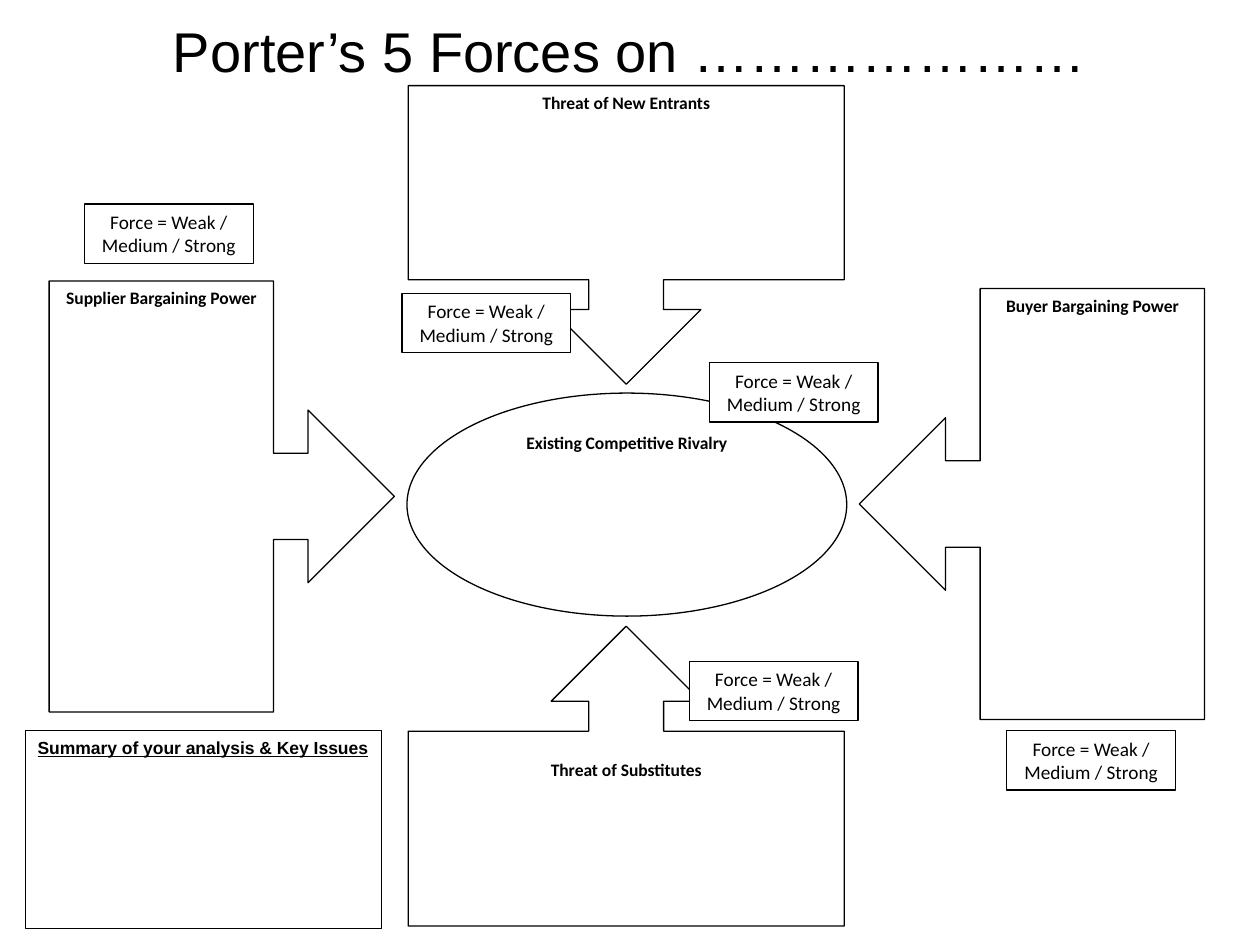
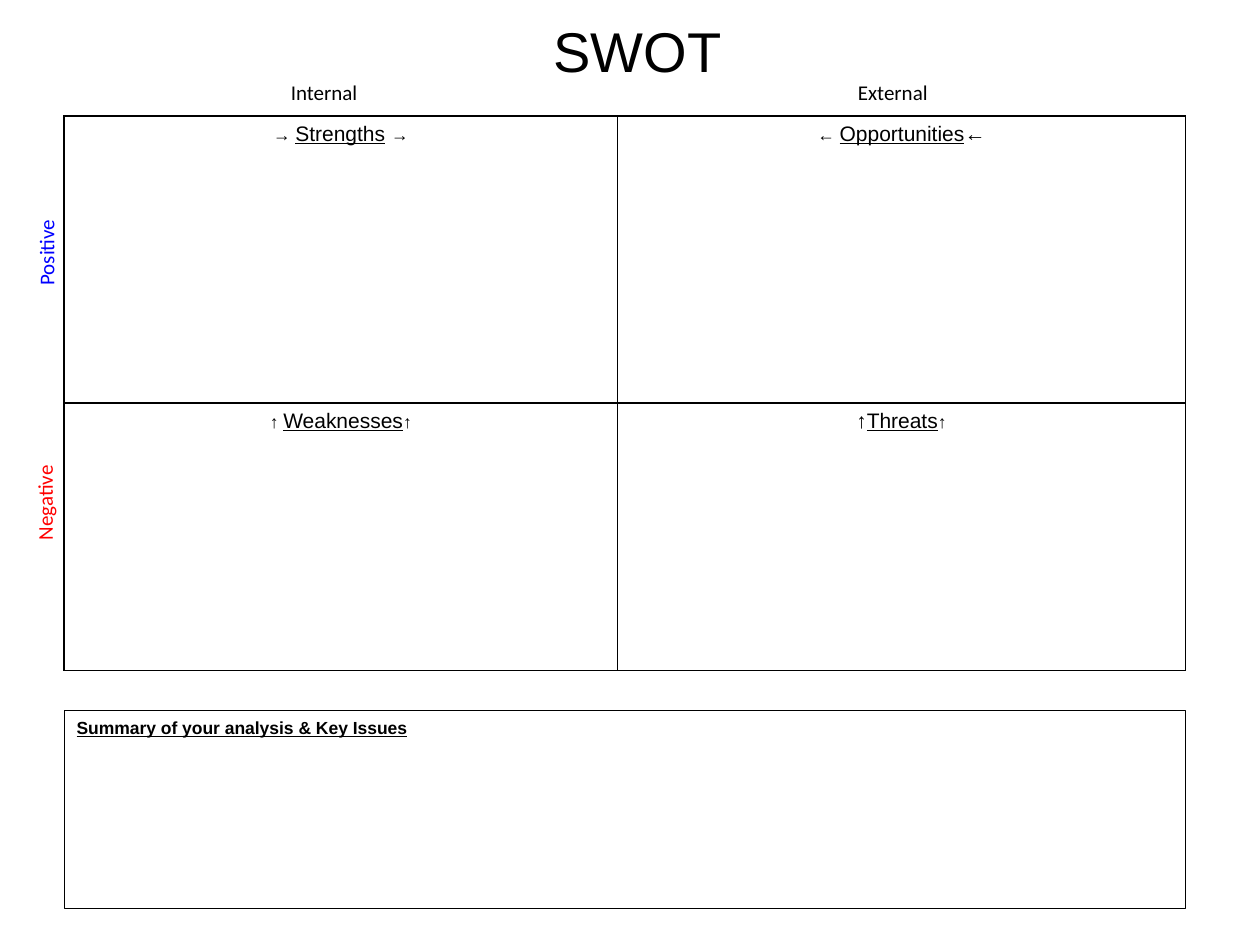
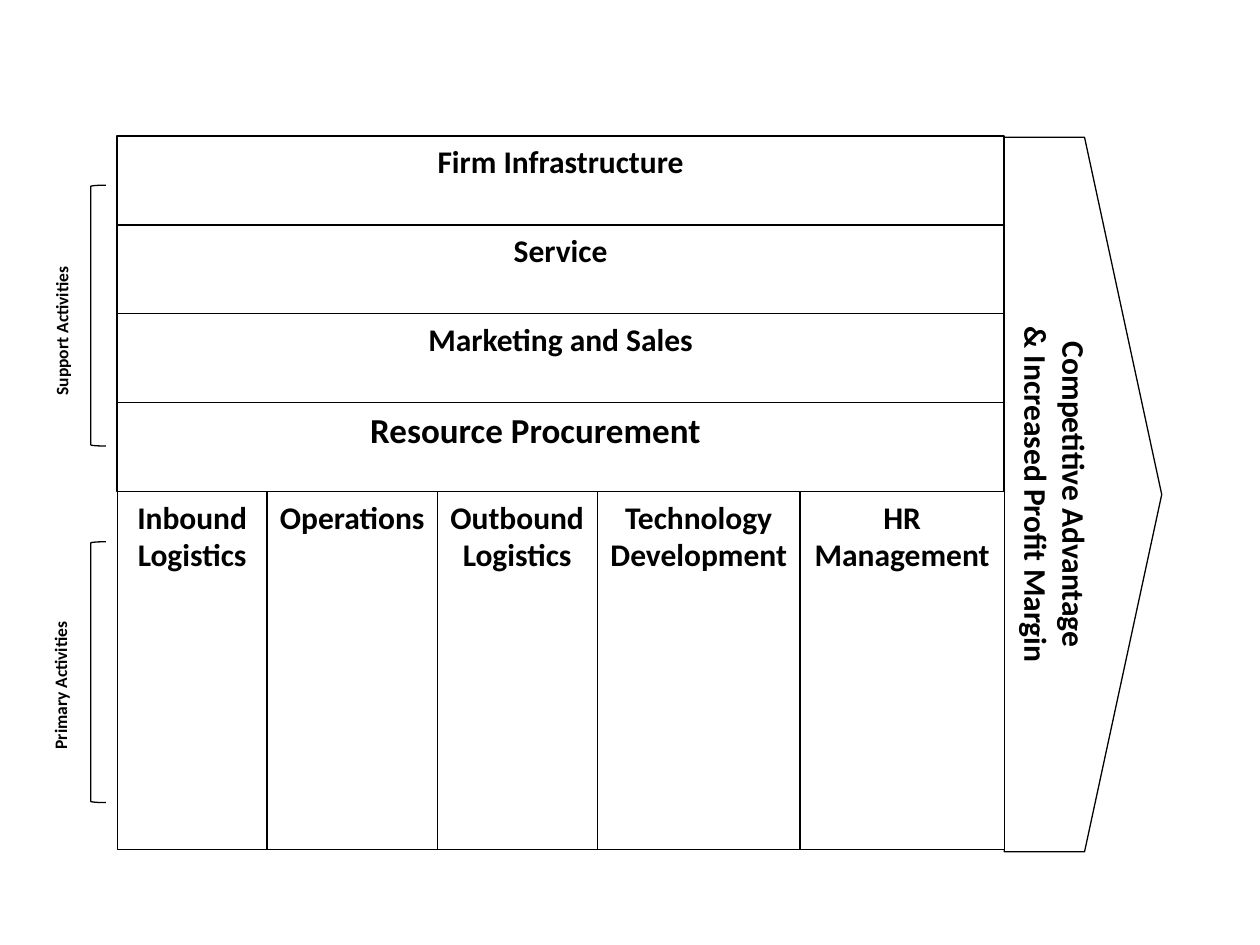
from lxml import etree
from pptx import Presentation
from pptx import util as u
from pptx.dml.color import RGBColor
from pptx.enum import shapes, text
from pptx.oxml import ns

BLACK, WHITE, BLUE, RED = "000000", "FFFFFF", "0000FF", "FF0000"
CENTER, LEFT = text.PP_ALIGN.CENTER, text.PP_ALIGN.LEFT
SHAPE = shapes.MSO_SHAPE
TITLE = {"name": "Arial", "size": u.Pt(32)}
HEADING = {"name": "Calibri", "size": u.Pt(10), "bold": True}
ACTIVITY = {"name": "Calibri", "size": u.Pt(18), "bold": True}
FORCE = {"name": "Calibri", "size": u.Pt(11)}
AXIS = {"name": "Calibri", "size": u.Pt(12)}
SUMMARY = {"name": "Arial", "size": u.Pt(10), "bold": True, "underline": True}
SUMMARY_TEXT = "Summary of your analysis & Key Issues"
TITLE_PLACE = (0, 0.08, 10, 0.64)


def color(value):
    return RGBColor.from_string(value)


def add_box(slide, preset, place, words="", font=None, align=CENTER, ink=BLACK,
            line=True, adjustments=(), rotation=0, margins=None):
    place = [u.Inches(length) for length in place]
    if preset is None:
        shape = slide.shapes.add_textbox(*place)
    else:
        shape = slide.shapes.add_shape(preset, *place)
        shape.shadow.inherit = False
        shape.fill.solid()
        shape.fill.fore_color.rgb = color(WHITE)
        if line:
            shape.line.color.rgb = color(BLACK)
            shape.line.width = u.Pt(0.75)
        else:
            shape.line.fill.background()
        for index, value in enumerate(adjustments):
            shape.adjustments[index] = value
    shape.rotation = rotation
    if words:
        frame = shape.text_frame
        frame.word_wrap = True
        frame.vertical_anchor = text.MSO_ANCHOR.TOP
        for name, value in (margins or {}).items():
            setattr(frame, name, u.Inches(value))
        for index, sentence in enumerate(words.split("\n")):
            paragraph = frame.add_paragraph() if index else frame.paragraphs[0]
            paragraph.alignment = align
            run = paragraph.add_run()
            run.text = sentence
            run.font.color.rgb = color(ink)
            for name, value in font.items():
                setattr(run.font, name, value)
    return shape


presentation = Presentation()
presentation.slide_width = u.Inches(10)
presentation.slide_height = u.Inches(7.5)
blank = presentation.slide_layouts[6]
forces, swot, value_chain = [presentation.slides.add_slide(blank) for _ in range(3)]

add_box(forces, SHAPE.OVAL, (3.23, 3.12, 3.49, 1.77), "Existing Competitive Rivalry", HEADING)
for preset, place, words, margin_top in (
    (SHAPE.UP_ARROW_CALLOUT, (3.24, 4.97, 3.46, 2.38), "Threat of Substitutes", 0.22),
    (SHAPE.DOWN_ARROW_CALLOUT, (3.24, 0.68, 3.46, 2.37), "Threat of New Entrants", 0.05),
    (SHAPE.LEFT_ARROW_CALLOUT, (6.82, 2.29, 2.74, 3.42), "Buyer Bargaining Power", 0.05),
    (SHAPE.RIGHT_ARROW_CALLOUT, (0.39, 2.23, 2.74, 3.42), "Supplier Bargaining Power", 0.05),
):
    add_box(forces, preset, place, words, HEADING,
            adjustments=(0.25, 0.25, 0.25, 0.65), margins={"margin_top": margin_top})
add_box(forces, None, TITLE_PLACE, "Porter’s 5 Forces on …………………", TITLE)
for left, top in ((0.67, 1.62), (7.99, 5.8), (3.19, 2.33), (5.47, 5.25), (5.63, 2.88)):
    add_box(forces, SHAPE.RECTANGLE, (left, top, 1.34, 0.47),
            "Force = Weak / Medium / Strong", FORCE)
add_box(forces, SHAPE.RECTANGLE, (0.2, 5.8, 2.83, 1.57), SUMMARY_TEXT, SUMMARY, LEFT)

table = swot.shapes.add_table(
    2, 2, u.Inches(0.51), u.Inches(0.92), u.Inches(8.9), u.Inches(4.4)).table
table.first_row = False
table.horz_banding = False
for column, width in zip(table.columns, (4.39, 4.51)):
    column.width = u.Inches(width)
for row, height in zip(table.rows, (2.28, 2.12)):
    row.height = u.Inches(height)
quadrants = (
    (("→ ", 10), ("Strengths", 12), (" ", 12), ("→", 10)),
    (("← ", 10), ("Opportunities", 12), ("←", 12)),
    (("↑ ", 10), ("Weaknesses", 12), ("↑", 10)),
    (("↑", 12), ("Threats", 12), ("↑", 10)),
)
for cell, pieces in zip(table.iter_cells(), quadrants):
    paragraph = cell.text_frame.paragraphs[0]
    paragraph.alignment = CENTER
    for words, size in pieces:
        run = paragraph.add_run()
        run.text = words
        run.font.color.rgb = color(BLACK)
        for name, value in {"name": "Arial", "size": u.Pt(size),
                            "underline": words.isalpha()}.items():
            setattr(run.font, name, value)
    properties = cell._tc.get_or_add_tcPr()
    for side in ("a:lnL", "a:lnR", "a:lnT", "a:lnB"):
        border = etree.SubElement(properties, ns.qn(side), w=str(u.Pt(1)))
        fill = etree.SubElement(border, ns.qn("a:solidFill"))
        etree.SubElement(fill, ns.qn("a:srgbClr"), val=BLACK)
    cell.fill.solid()
    cell.fill.fore_color.rgb = color(WHITE)
for words, place, rotation, ink in (
    ("Internal", (2.21, 0.58, 0.86, 0.3), 0, BLACK),
    ("External", (6.71, 0.58, 0.82, 0.3), 0, BLACK),
    ("Positive", (-0.06, 1.79, 0.85, 0.3), 270, BLUE),
    ("Negative", (-0.08, 3.8, 0.87, 0.3), 270, RED),
):
    add_box(swot, None, place, words, AXIS, LEFT, ink, rotation=rotation)
add_box(swot, None, TITLE_PLACE, "SWOT", TITLE, margins={"margin_left": 0.22})
add_box(swot, SHAPE.RECTANGLE, (0.51, 5.64, 8.9, 1.57), SUMMARY_TEXT, SUMMARY, LEFT)

add_box(value_chain, SHAPE.PENTAGON, (7.97, 1.09, 1.25, 5.67), adjustments=(0.49,))
support = (
    ("Firm Infrastructure", 18, 0.1),
    ("Service", 18, 0.1),
    ("Marketing and Sales", 18, 0.1),
    ("Resource Procurement", 20, 0.5),
)
row_height = 2.82 / len(support)
for index, (words, size, margin_right) in enumerate(support):
    add_box(value_chain, SHAPE.RECTANGLE, (0.93, 1.08 + index * row_height, 7.04, row_height),
            words, {**ACTIVITY, "size": u.Pt(size)}, margins={"margin_right": margin_right})
left = 0.93
for words, width in (
    ("Inbound Logistics", 1.19),
    ("Operations", 1.35),
    ("Outbound Logistics", 1.27),
    ("Technology Development", 1.61),
    ("HR Management", 1.62),
):
    add_box(value_chain, SHAPE.RECTANGLE, (left, 3.9, width, 2.84), words, ACTIVITY,
            margins={"margin_left": 0.05, "margin_right": 0.05})
    left += width
for words, bracket_top, place in (
    ("Support Activities", 1.47, (-0.26, 2.35, 1.5, 0.27)),
    ("Primary Activities", 4.3, (-0.24, 5.19, 1.44, 0.27)),
):
    add_box(value_chain, SHAPE.LEFT_BRACKET, (0.72, bracket_top, 0.12, 2.07), adjustments=(0.08,))
    add_box(value_chain, SHAPE.RECTANGLE, place, words, HEADING, LEFT, line=False, rotation=270)
add_box(value_chain, SHAPE.RECTANGLE, (6.23, 3.57, 4.29, 0.71),
        "Competitive Advantage\n& Increased Profit Margin", ACTIVITY, line=False, rotation=90)

presentation.save("out.pptx")
